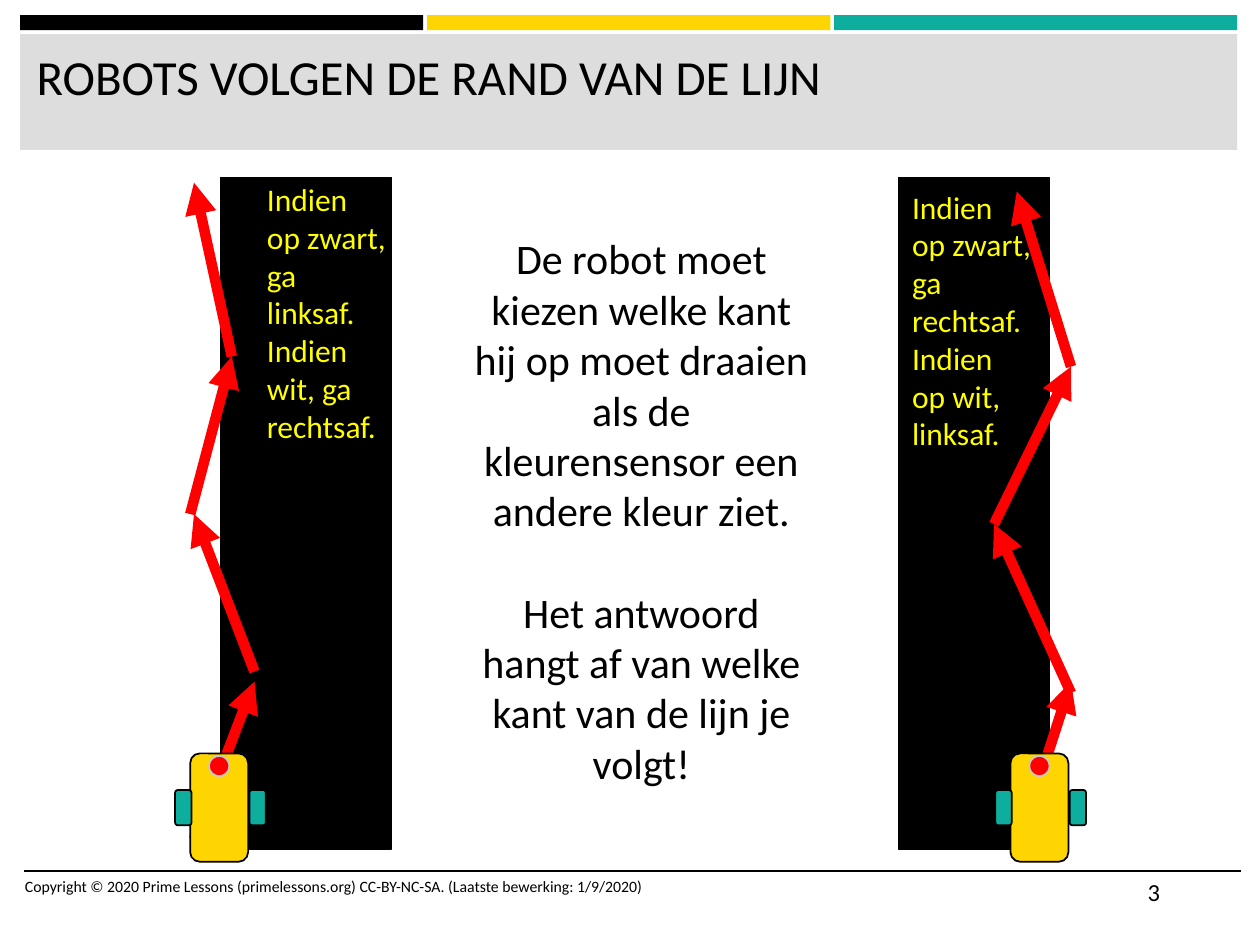
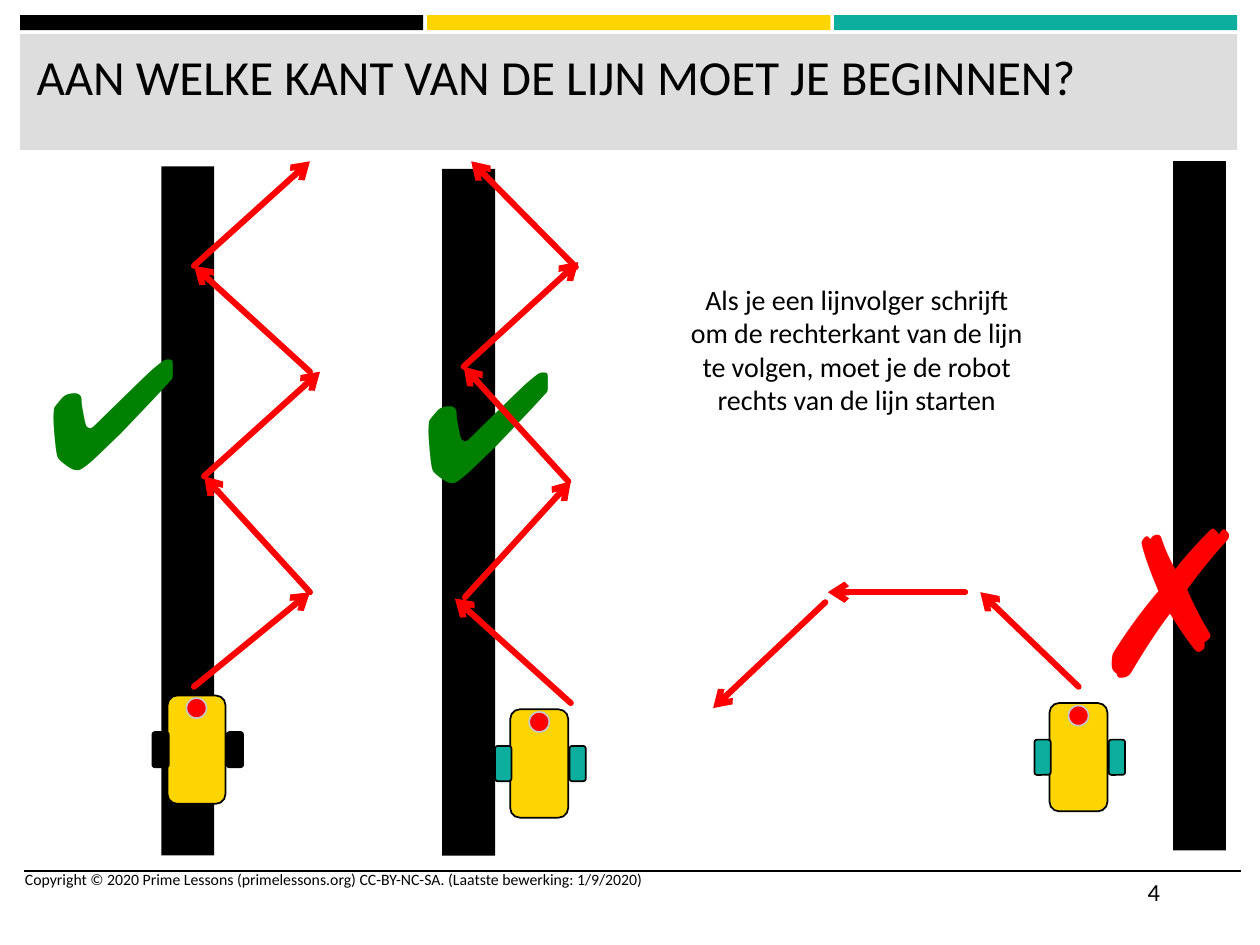
"""Build two slides on how a robot follows the edge of a line."""
import lxml.etree
import pptx
import pptx.util
import pptx.dml.color
import pptx.enum.shapes
import pptx.enum.text
import pptx.oxml.ns

Inches = pptx.util.Inches
Pt = pptx.util.Pt
SHAPE = pptx.enum.shapes.MSO_SHAPE
ALIGN = pptx.enum.text.PP_ALIGN
ANCHOR = pptx.enum.text.MSO_ANCHOR

COLORS = {"black": "000000", "gold": "FFD500", "teal": "0EAE9F", "gray": "DDDDDD",
          "red": "FF0000", "green": "008000", "yellow": "FFFF00", "silver": "C7C7C7"}
FONT = "Calibri"
CREDIT = "Copyright © 2020 Prime Lessons (primelessons.org) CC-BY-NC-SA. (Laatste bewerking: 1/9/2020)"
BANDS = ["black", "gold", "teal"]

SLIDES = [
    {"title": "ROBOTS VOLGEN DE RAND VAN DE LIJN", "page": "3", "credit": 6.91,
     "bars": [(1.75, 1.41, 1.36, 5.33), (7.13, 1.41, 1.2, 5.33)], "edge": "black",
     "arrow": ("triangle", 6, "flat"),
     "moves": [((1.54, 6.66), (2.02, 5.41)), ((2.02, 5.33), (1.54, 4.08)),
               ((1.51, 4.08), (1.84, 2.83)), ((1.84, 2.83), (1.54, 1.45)),
               ((8.07, 6.75), (8.5, 5.41)), ((8.5, 5.5), (7.89, 4.16)),
               ((7.89, 4.16), (8.5, 2.91)), ((8.5, 2.91), (8.07, 1.52))],
     "marks": [], "top": [],
     "texts": [((3.65, 1.8, 2.88, 4.54), 24, "black", ALIGN.CENTER, 29,
                ["De robot moet kiezen welke kant hij op moet draaien als de kleurensensor een andere kleur ziet.",
                 "Het antwoord hangt af van welke kant van de lijn je volgt!"]),
               ((2.02, 1.38, 1.15, 2.22), 18, "yellow", ALIGN.LEFT, 0,
                ["Indien op zwart, ga linksaf.", "Indien wit, ga rechtsaf."]),
               ((7.14, 1.44, 1.15, 2.22), 18, "yellow", ALIGN.LEFT, 0,
                ["Indien op zwart, ga rechtsaf.", "Indien op wit, linksaf."])],
     "robots": [(1.51, 5.98, "teal"), (8.02, 5.98, "teal")]},
    {"title": "AAN WELKE KANT VAN DE LIJN MOET JE BEGINNEN?", "page": "4", "credit": 6.85,
     "bars": [(1.28, 1.32, 0.42, 5.47), (3.51, 1.34, 0.42, 5.45), (9.31, 1.28, 0.42, 5.47)],
     "edge": None, "arrow": ("arrow", 3.5, "rnd"),
     "moves": [((1.54, 5.45), (2.46, 4.7)), ((2.46, 4.7), (1.62, 3.78)),
               ((1.62, 3.78), (2.54, 2.95)), ((2.46, 2.95), (1.54, 2.11)),
               ((1.54, 2.11), (2.46, 1.28)),
               ((4.53, 5.58), (3.61, 4.75)), ((3.69, 4.74), (4.53, 3.82)),
               ((3.68, 2.91), (4.59, 2.08)), ((4.57, 2.12), (3.74, 1.28)),
               ((8.56, 5.45), (7.78, 4.7)), ((7.66, 4.7), (6.57, 4.7)),
               ((6.55, 4.78), (5.66, 5.62))],
     "marks": [("✔", (3.25, 2.55, 1.07, 1.58), 88, "green"),
               ("✗", (8.54, 3.72, 1.07, 2.04), 115, "red"),
               ("✔", (0.27, 2.45, 1.07, 1.58), 88, "green")],
     "top": [((4.51, 3.82), (3.68, 2.91))],
     "texts": [((5.36, 2.19, 2.88, 1.18), 16, "black", ALIGN.CENTER, 0,
                ["Als je een lijnvolger schrijft om de rechterkant van de lijn te volgen, "
                 "moet je de robot rechts van de lijn starten"])],
     "robots": [(1.33, 5.52, "black"), (4.05, 5.63, "teal"), (8.33, 5.58, "teal")]},
]


def color(name):
    return pptx.dml.color.RGBColor.from_string(COLORS[name])


def style(para, size, tint, align=ALIGN.LEFT, font=FONT):
    para.alignment = align
    para.font.size = Pt(size)
    para.font.name = font
    para.font.color.rgb = color(tint)


def block(slide, kind, spot, fill, edge=None, width=1):
    shape = slide.shapes.add_shape(kind, *map(Inches, spot))
    shape.shadow.inherit = False
    shape.fill.solid()
    shape.fill.fore_color.rgb = color(fill)
    if edge:
        shape.line.color.rgb = color(edge)
        shape.line.width = Pt(width)
    else:
        shape.line.fill.background()
    return shape


def text(slide, spot, size, tint, align, gap, lines, font=FONT):
    frame = slide.shapes.add_textbox(*map(Inches, spot)).text_frame
    frame.word_wrap = True
    frame.text = "\n".join(lines)
    for count, para in enumerate(frame.paragraphs):
        style(para, size, tint, align, font)
        if count and gap:
            para.space_before = Pt(gap)


def stroke(slide, start, end, tint, width):
    line = slide.shapes.add_connector(
        pptx.enum.shapes.MSO_CONNECTOR.STRAIGHT, *map(Inches, start + end))
    line.line.color.rgb = color(tint)
    line.line.width = Pt(width)
    lxml.etree.SubElement(line.element.spPr, pptx.oxml.ns.qn("a:effectLst"))
    return line


def arrow(slide, start, end, head, width, cap):
    line = stroke(slide, start, end, "red", width)
    edge = line.element.spPr.find(pptx.oxml.ns.qn("a:ln"))
    edge.set("cap", cap)
    lxml.etree.SubElement(edge, pptx.oxml.ns.qn("a:tailEnd"), type=head)


def robot(slide, x, y, wheel):
    block(slide, SHAPE.ROUNDED_RECTANGLE, (x, y, 0.46, 0.86), "gold", "black")
    for shift in (0.47, -0.12):
        block(slide, SHAPE.ROUNDED_RECTANGLE, (x + shift, y + 0.29, 0.13, 0.28), wheel, "black")
    block(slide, SHAPE.OVAL, (x + 0.15, y + 0.02, 0.16, 0.16), "red", "silver")


def frame(slide, layout):
    """Draw the bands and the foot rule, then hand them to the layout."""
    parts = [block(slide, SHAPE.RECTANGLE, (0.16 + 3.23 * i, 0.12, 3.2, 0.12), tint)
             for i, tint in enumerate(BANDS)]
    parts.append(block(slide, SHAPE.RECTANGLE, (0.16, 0.27, 9.66, 0.92), "gray"))
    parts.append(stroke(slide, (0.19, 6.91), (9.85, 6.91), "black", 1))
    for part in parts:
        layout.shapes.element.append(part.element)


def build(slide, data):
    title = slide.shapes.title
    title.left, title.top, title.width, title.height = map(Inches, (0.19, 0.32, 9.57, 0.82))
    title.text_frame.text = data["title"]
    title.text_frame.vertical_anchor = ANCHOR.TOP
    title.text_frame.auto_size = pptx.enum.text.MSO_AUTO_SIZE.NONE
    style(title.text_frame.paragraphs[0], 28, "black")
    text(slide, (0.1, data["credit"], 5.33, 0.4), 9, "black", ALIGN.LEFT, 0, [CREDIT])
    text(slide, (9.01, 6.91, 0.84, 0.4), 14, "black", ALIGN.LEFT, 0, [data["page"]])
    for bar in data["bars"]:
        block(slide, SHAPE.RECTANGLE, bar, "black", data["edge"], 0.75)
    for start, end in data["moves"]:
        arrow(slide, start, end, *data["arrow"])
    for sign, spot, size, tint in data["marks"]:
        text(slide, spot, size, tint, ALIGN.LEFT, 0, [sign], "Arial")
    for item in data["texts"]:
        text(slide, *item)
    for item in data["robots"]:
        robot(slide, *item)
    for start, end in data["top"]:
        arrow(slide, start, end, *data["arrow"])


def main():
    deck = pptx.Presentation()
    deck.slide_width, deck.slide_height = Inches(10), Inches(7.5)
    layout = deck.slide_layouts[5]
    for holder in list(layout.placeholders)[1:]:
        layout.shapes.element.remove(holder.element)
    for count, data in enumerate(SLIDES):
        slide = deck.slides.add_slide(layout)
        if count == 0:
            frame(slide, layout)
        build(slide, data)
    deck.save("out.pptx")


if __name__ == "__main__":
    main()
